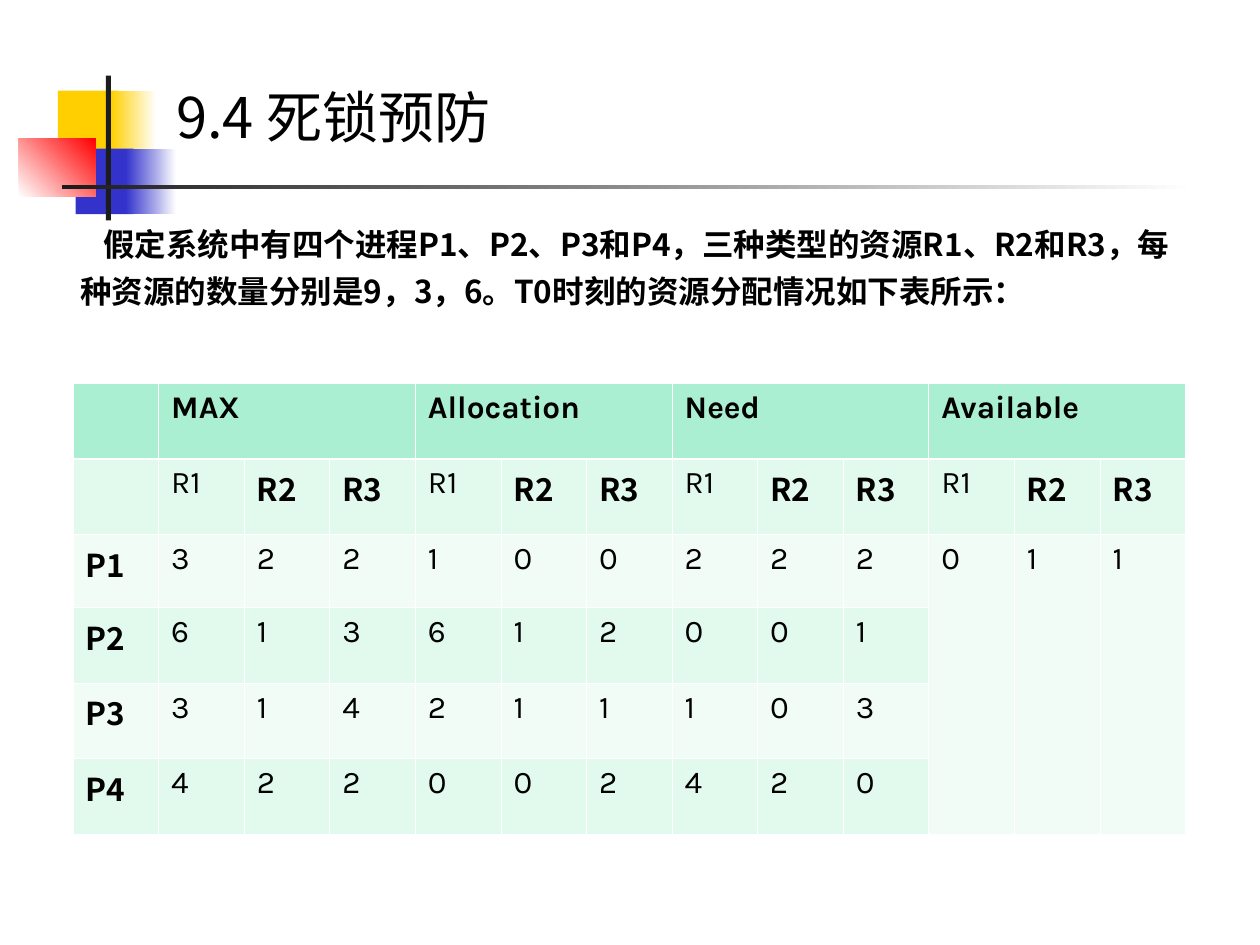
from dataclasses import dataclass

from lxml import etree
from pptx import Presentation
from pptx import util as u
from pptx.dml import color
from pptx.enum import shapes, text
from pptx.oxml import ns

KARLA, SANS_SC, SANS_JP = "Karla", "Noto Sans CJK SC", "Noto Sans CJK JP"
BLACK, WHITE, INK = "000000", "FFFFFF", "1C1C1C"
YELLOW, BLUE, RED = "FFCF01", "3333CC", "FF0000"
HEADER_FILL, BAND_FILLS = "AAEFD1", ("E2F9EE", "F1FCF7")
THIN, THICK = 0.45, 1.47

GROUPS = ["MAX", "Allocation", "Need", "Available"]
RESOURCES = ["R1", "R2", "R3"]
ALLOCATIONS = {
    "P1": "322100222011",
    "P2": "613612001",
    "P3": "314211103",
    "P4": "422002420",
}


@dataclass
class Block:
    left: float
    top: float
    width: float
    height: float
    start: str
    end: str = ""
    angle: int = 0


@dataclass
class TextArea:
    left: float
    top: float
    width: float
    height: float
    words: str
    font: str
    size: float
    bold: bool
    anchor: text.MSO_ANCHOR
    layout: dict


DECORATION = [
    Block(0.46, 0.72, 0.48, 0.52, YELLOW),
    Block(0.88, 0.72, 0.36, 0.52, YELLOW, WHITE),
    Block(0.6, 1.18, 0.46, 0.52, BLUE),
    Block(1, 1.18, 0.4, 0.52, BLUE, WHITE),
    Block(0.15, 1.1, 0.61, 0.46, WHITE, RED, 45),
    Block(0.84, 0.6, 0.04, 1.15, INK),
    Block(0.49, 1.47, 9, 0.03, INK, WHITE),
]

TEXTS = [
    TextArea(1.3, 0.6, 8.7, 0.64, "9.4 死锁预防", SANS_JP, 32, False,
             text.MSO_ANCHOR.MIDDLE, {}),
    TextArea(0.16, 1.66, 9.25, 1.17,
             "假定系统中有四个进程P1、P2、P3和P4，三种类型的资源R1、R2和R3，"
             "每种资源的数量分别是9，3，6。T0时刻的资源分配情况如下表所示：",
             SANS_SC, 18, True, text.MSO_ANCHOR.TOP,
             {"line_spacing": 1.25, "space_before": u.Pt(4.5)}),
]


def rgb(value: str) -> color.RGBColor:
    return color.RGBColor.from_string(value)


def paint(fill, value: str) -> None:
    fill.solid()
    fill.fore_color.rgb = rgb(value)


def write(paragraph, words: str, font: str, size: float, bold: bool) -> None:
    run = paragraph.add_run()
    run.text = words
    for name, value in {"name": font, "size": u.Pt(size), "bold": bold}.items():
        setattr(run.font, name, value)
    run.font.color.rgb = rgb(BLACK)
    east_asian = etree.SubElement(run.font._element, ns.qn("a:ea"))
    east_asian.set("typeface", font)


def draw_block(slide, block: Block) -> None:
    box = map(u.Inches, (block.left, block.top, block.width, block.height))
    shape = slide.shapes.add_shape(shapes.MSO_SHAPE.RECTANGLE, *box)
    shape.shadow.inherit = False
    shape.line.fill.background()
    if not block.end:
        paint(shape.fill, block.start)
        return
    shape.fill.gradient()
    shape.fill.gradient_angle = block.angle
    for stop, value, position in zip(shape.fill.gradient_stops, (block.start, block.end), (0, 1)):
        stop.color.rgb = rgb(value)
        stop.position = position


def draw_text(slide, area: TextArea):
    box = map(u.Inches, (area.left, area.top, area.width, area.height))
    frame = slide.shapes.add_textbox(*box).text_frame
    frame.word_wrap = True
    frame.vertical_anchor = area.anchor
    paragraph = frame.paragraphs[0]
    for name, value in area.layout.items():
        setattr(paragraph, name, value)
    write(paragraph, area.words, area.font, area.size, area.bold)
    return paragraph


def indent(paragraph, margin: float, first_line: float) -> None:
    properties = paragraph._p.get_or_add_pPr()
    properties.set("marL", str(u.Inches(margin)))
    properties.set("indent", str(u.Inches(first_line)))


def style_cell(cell, row: int) -> None:
    properties = cell._tc.get_or_add_tcPr()
    widths = {
        "L": THIN,
        "R": THIN,
        "T": THICK if row == 1 else THIN,
        "B": THICK if row == 0 else THIN,
    }
    for side, width in widths.items():
        line = etree.SubElement(properties, ns.qn(f"a:ln{side}"), w=str(u.Pt(width)))
        solid = etree.SubElement(line, ns.qn("a:solidFill"))
        etree.SubElement(solid, ns.qn("a:srgbClr"), val=WHITE)
    paint(cell.fill, BAND_FILLS[(row - 1) % 2] if row else HEADER_FILL)


def draw_table(slide) -> None:
    span = len(RESOURCES)
    columns = 1 + len(GROUPS) * span
    rows = 2 + len(ALLOCATIONS)
    box = map(u.Inches, (0.58, 3.04, 8.83, 3.56))
    table = slide.shapes.add_table(rows, columns, *box).table
    for column in table.columns:
        column.width = u.Inches(8.83 / columns)
    for number, row in enumerate(table.rows):
        row.height = u.Inches(0.58 if number == 2 else 0.6)
        for cell in row.cells:
            style_cell(cell, number)

    def put(row: int, column: int, words: str, font: str, bold: bool) -> None:
        write(table.cell(row, column).text_frame.paragraphs[0], words, font, 18, bold)

    # Group headings and the resources below them
    for group, heading in enumerate(GROUPS):
        first = 1 + group * span
        table.cell(0, first).merge(table.cell(0, first + span - 1))
        put(0, first, heading, KARLA, True)
        for offset, resource in enumerate(RESOURCES):
            plain = offset == 0
            put(1, first + offset, resource, KARLA if plain else SANS_SC, not plain)

    # Available amounts are shared by all processes
    for column in range(columns - span, columns):
        table.cell(2, column).merge(table.cell(rows - 1, column))

    # One row for each process
    for row, (process, amounts) in enumerate(ALLOCATIONS.items(), 2):
        put(row, 0, process, SANS_SC, True)
        for column, amount in enumerate(amounts, 1):
            put(row, column, amount, KARLA, False)


def main() -> None:
    deck = Presentation()
    deck.slide_width, deck.slide_height = u.Inches(10), u.Inches(7.5)
    slide = deck.slides.add_slide(deck.slide_layouts[6])
    for block in DECORATION:
        draw_block(slide, block)
    title, question = (draw_text(slide, area) for area in TEXTS)
    indent(question, 0.38, 0.18)
    draw_table(slide)
    deck.save("out.pptx")


if __name__ == "__main__":
    main()
